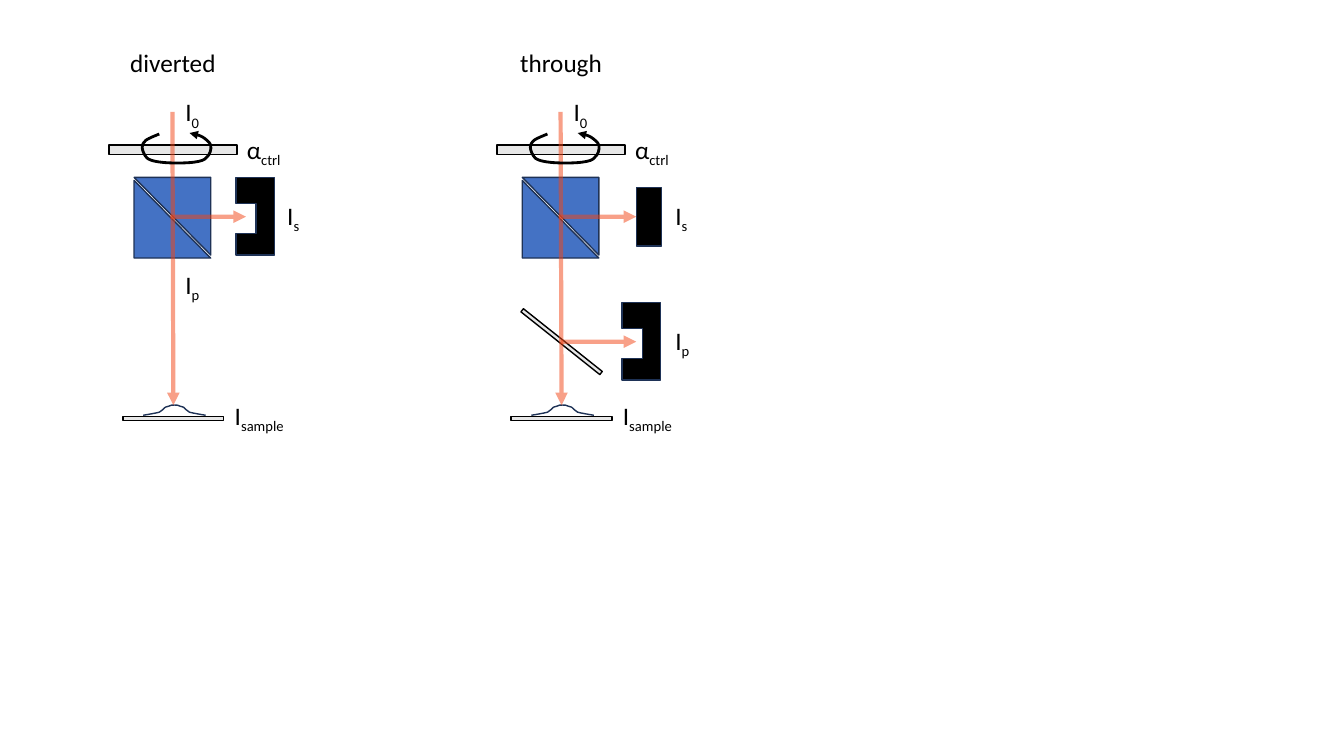
from pptx import Presentation
from pptx.dml.color import RGBColor
from pptx.enum.shapes import MSO_CONNECTOR, MSO_SHAPE
from pptx.enum.text import PP_ALIGN
from pptx.oxml.ns import qn
from pptx.util import Pt
from lxml.etree import SubElement

PX = 9144  # 100 px to the inch
WIDTH, HEIGHT = 1333, 750
FONT = "Calibri"
BLACK = RGBColor(0x00, 0x00, 0x00)
GLASS = RGBColor(0xD9, 0xD9, 0xD9)
PRISM = RGBColor(0x44, 0x72, 0xC4)
EDGE = RGBColor(0x1E, 0x32, 0x56)
BEAM = RGBColor(0xF2, 0x45, 0x16)
LEFT, CENTER = PP_ALIGN.LEFT, PP_ALIGN.CENTER

# Content: x is measured from the left side of each setup's beam splitter
COMMON_LABELS = [("α", "ctrl", 102, 128), ("I", "s", 142, 194),
                 ("I", "sample", 90, 392), ("I", "0", 41, 91)]
SETUPS = [
    {"title": "diverted", "x": 133, "p_label": ("I", "p", 41, 262),
     "detector": (101, 176), "mirror": False},
    {"title": "through", "x": 518, "p_label": ("I", "p", 142, 318),
     "detector": (99, 300), "mirror": True},
]
BUMP_CENTER = 40
HALF_BUMP = [(-31, 412), (-25, 411), (-19, 410), (-15, 409), (-12, 408), (-11, 405),
             (-9, 404), (-7, 403), (-4, 403), (-3, 402), (-1, 402), (0, 402), (0, 402)]
ROTATION = [(25, 133), (20, 135), (15, 137), (12, 139), (9, 142), (8, 143), (8, 146),
            (8, 149), (10, 154), (13, 157), (16, 159), (19, 160), (27, 161), (35, 162),
            (51, 162), (59, 161), (66, 160), (70, 159), (72, 156), (75, 154), (77, 148),
            (76, 144), (75, 141), (71, 138), (68, 136), (64, 134), (60, 133), (55, 132)]
DETECTOR = [(0, 0), (38, 0), (38, 77), (0, 77), (0, 56), (20, 56), (20, 26), (0, 26)]

deck = Presentation()
deck.slide_width, deck.slide_height = WIDTH * PX, HEIGHT * PX
page = deck.slides.add_slide(deck.slide_layouts[6])


def set_alpha(properties, percent):
    color = next(properties.iter(qn("a:srgbClr")))
    SubElement(color, qn("a:alpha"), val=str(percent * 1000))


def add_arrowhead(item):
    SubElement(item.line._get_or_add_ln(), qn("a:tailEnd"), type="triangle")


def style(shape, fill, line=EDGE, width=1):
    shape.shadow.inherit = False
    if fill is None:
        shape.fill.background()
    else:
        shape.fill.solid()
        shape.fill.fore_color.rgb = fill
    shape.line.color.rgb = line
    shape.line.width = Pt(width)
    return shape


def add_preset(kind, x, y, width, height, fill, line=EDGE, angle=0):
    shape = page.shapes.add_shape(kind, x * PX, y * PX, width * PX, height * PX)
    shape.rotation = angle
    return style(shape, fill, line)


def add_glass(x, y, width, height, angle=0):
    shape = add_preset(MSO_SHAPE.RECTANGLE, x, y, width, height, GLASS, BLACK, angle)
    set_alpha(shape.fill._xPr.find(qn("a:solidFill")), 61)


def add_outline(points, fill=None, line=EDGE, width=1, close=False):
    builder = page.shapes.build_freeform(*points[0], scale=PX)
    builder.add_line_segments(points[1:], close=close)
    return style(builder.convert_to_shape(), fill, line, width)


def add_curve(points, line=EDGE, width=1):
    """Every three points after the first make one Bézier piece."""
    shape = add_outline(points, None, line, width)
    steps = list(shape._element.iter(qn("a:lnTo")))
    track = steps[0].getparent()
    for first in range(0, len(steps), 3):
        curve = SubElement(track, qn("a:cubicBezTo"))
        for step in steps[first:first + 3]:
            curve.append(step[0])
            track.remove(step)
    return shape


def add_beam(x1, y1, x2, y2):
    beam = page.shapes.add_connector(MSO_CONNECTOR.STRAIGHT, x1 * PX, y1 * PX, x2 * PX, y2 * PX)
    beam.line.color.rgb = BEAM
    beam.line.width = Pt(3)
    set_alpha(beam.line._get_or_add_ln(), 51)
    add_arrowhead(beam)
    SubElement(beam._element.spPr, qn("a:effectLst"))
    return beam


def add_label(base, subscript, x, y, align=LEFT):
    box = page.shapes.add_textbox(x * PX, y * PX, 113 * PX, 40 * PX)
    box.text_frame.word_wrap = True
    para = box.text_frame.paragraphs[0]
    para.text = base
    para.alignment = align
    if subscript:
        span = para.add_run()
        span.text = subscript
        span.font._element.set("baseline", "-25000")
    for span in para.runs:
        span.font.name = FONT
        span.font.size = Pt(18)
        span.font.color.rgb = BLACK


for setup in SETUPS:
    x = setup["x"]

    # Beam splitter cube
    for top, angle in ((176, 180), (179, 0)):
        add_preset(MSO_SHAPE.RIGHT_TRIANGLE, x, top, 76, 77, PRISM, angle=angle)

    # Wave plate, mirror and sample slide
    add_glass(x - 25, 144, 127, 9)
    if setup["mirror"]:
        add_glass(x - 11, 337, 100, 4, 38.5)
    add_glass(x - 11, 413, 100, 4)

    # Sample: two mirrored halves
    for side in (1, -1):
        add_curve([(x + BUMP_CENTER + side * dx, y) for dx, y in HALF_BUMP[:-1] + HALF_BUMP[-1:]])

    # Beams
    add_beam(x + 38, 111, x + 39, 402)
    side_beam = add_beam(x + 36, 215, x + 111, 215)
    if setup["mirror"]:
        add_beam(x + 38, 339, x + 113, 339)
        blocker = add_preset(MSO_SHAPE.RECTANGLE, x + 113, 186, 25, 58, BLACK)
        side_beam.end_connect(blocker, 1)

    # Rotation arrow and detector
    add_arrowhead(add_curve([(x + dx, y) for dx, y in ROTATION], BLACK, 2))
    left, top = setup["detector"]
    add_outline([(x + left + dx, top + dy) for dx, dy in DETECTOR], BLACK, close=True)

    # Labels
    add_label(setup["title"], "", x - 18, 42, CENTER)
    for base, subscript, dx, y in COMMON_LABELS + [setup["p_label"]]:
        add_label(base, subscript, x + dx, y)

deck.save("out.pptx")
